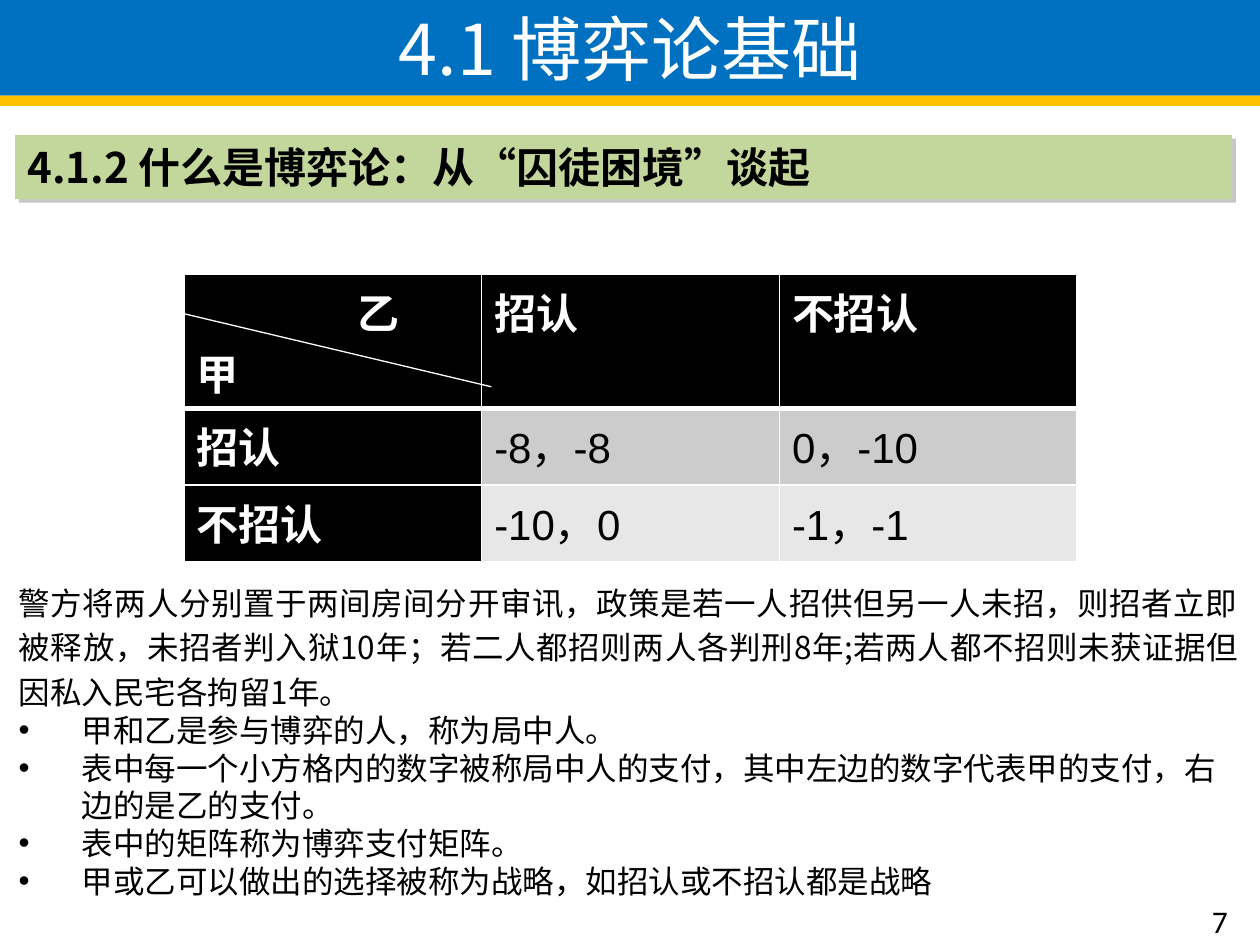
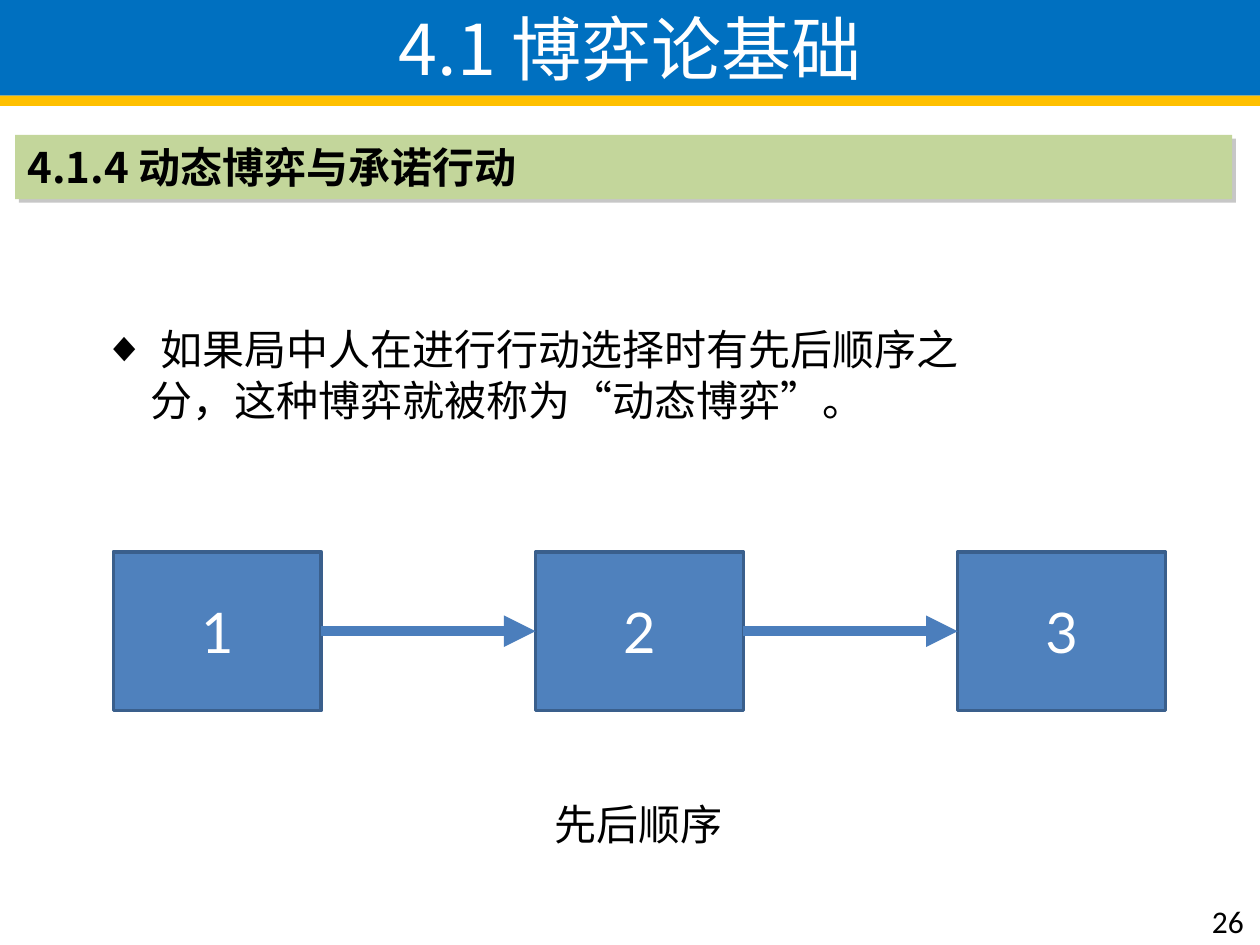
from lxml import etree
from pptx import Presentation
from pptx.dml.color import RGBColor
from pptx.enum.shapes import MSO_CONNECTOR, MSO_SHAPE
from pptx.enum.text import MSO_ANCHOR, MSO_AUTO_SIZE, PP_ALIGN
from pptx.oxml.ns import qn
from pptx.util import Inches, Pt

RECTANGLE = MSO_SHAPE.RECTANGLE
STRAIGHT = MSO_CONNECTOR.STRAIGHT
MIDDLE = MSO_ANCHOR.MIDDLE
GROW, FIXED = MSO_AUTO_SIZE.SHAPE_TO_FIT_TEXT, MSO_AUTO_SIZE.NONE
LEFT, CENTER, JUSTIFY = PP_ALIGN.LEFT, PP_ALIGN.CENTER, PP_ALIGN.JUSTIFY
RIGHT_SITE, LEFT_SITE = 3, 1
TITLE_ONLY = 5

COLORS = {
    "title": "0070C0", "band": "FFC000", "arrow": "4B7EBC", "section": "C3D69B",
    "black": "000000", "white": "FFFFFF", "gray": "808080",
    "row_dark": "CCCCCC", "row_light": "E7E7E7",
    "step": "4F81BD", "step_edge": "3A5F8C",
}
CJK = "Noto Sans CJK SC"
TITLE_TEXT = {"name": CJK, "size": Pt(40), "color": "white", "bold": False}
SECTION_TEXT = {"name": CJK, "size": Pt(24), "color": "black", "bold": True}
BODY_TEXT = {"name": CJK, "size": Pt(18), "color": "black"}
POINT_TEXT = {"name": CJK, "size": Pt(24), "color": "black"}
HEADER_TEXT = {"name": "Arial", "size": Pt(24), "color": "white", "bold": True}
CELL_TEXT = {"name": "Arial", "size": Pt(24), "color": "black", "bold": False}
STEP_TEXT = {"name": "Lato", "size": Pt(32), "color": "white"}
PAGE_TEXT = {"name": "Calibri", "size": Pt(18), "color": "black"}


def rgb(color):
    return RGBColor.from_string(COLORS[color])


def add_element(parent, tag, **attributes):
    return etree.SubElement(parent, qn(tag), {key: str(value) for key, value in attributes.items()})


def write(paragraph, text, text_format, alignment=LEFT):
    paragraph.alignment = alignment
    run = paragraph.add_run()
    run.text = text
    for name, value in text_format.items():
        if name == "color":
            run.font.color.rgb = rgb(value)
        else:
            setattr(run.font, name, value)
    add_element(run.font._element, "a:ea", typeface=CJK)


def add_bullet(paragraph, character, indent):
    properties = paragraph._p.get_or_add_pPr()
    properties.set("marL", str(Inches(indent)))
    properties.set("indent", str(-Inches(indent)))
    add_element(properties, "a:buFont", typeface="Arial")
    add_element(properties, "a:buChar", char=character)


def paint(shape, fill, line=None, width=0.75):
    shape.fill.solid()
    shape.fill.fore_color.rgb = rgb(fill)
    if line:
        shape.line.color.rgb = rgb(line)
        shape.line.width = Pt(width)
    else:
        shape.line.fill.background()
    shape.shadow.inherit = False


def add_shadow(shape, color, opacity, distance, angle):
    effects = shape._element.spPr.find(qn("a:effectLst"))
    shadow = add_element(effects, "a:outerShdw", dist=Pt(distance),
                         dir=angle * 60000, algn="ctr", rotWithShape=0)
    shadow_color = add_element(shadow, "a:srgbClr", val=COLORS[color])
    add_element(shadow_color, "a:alpha", val=opacity * 1000)


def add_box(slide, box, fill, line=None, width=0.75):
    shape = slide.shapes.add_shape(RECTANGLE, *map(Inches, box))
    paint(shape, fill, line, width)
    return shape


def add_text_frame(slide, box, wrap=True, auto_size=GROW):
    frame = slide.shapes.add_textbox(*map(Inches, box)).text_frame
    frame.word_wrap = wrap
    frame.auto_size = auto_size
    return frame


def add_line(slide, start, end, color, width):
    line = slide.shapes.add_connector(STRAIGHT, *map(Inches, start + end))
    line.line.color.rgb = rgb(color)
    line.line.width = Pt(width)
    add_element(line._element.spPr, "a:effectLst")
    return line


def add_arrow(slide, source, target):
    arrow = add_line(slide, (0, 0), (1, 1), "arrow", 6)
    arrow.begin_connect(source, RIGHT_SITE)
    arrow.end_connect(target, LEFT_SITE)
    add_element(arrow.line._get_or_add_ln(), "a:tailEnd", type="triangle")


def add_framed_slide(presentation, section, page):
    """Add a slide with the chapter title, yellow band, section bar and page number."""
    slide = presentation.slides.add_slide(presentation.slide_layouts[TITLE_ONLY])
    add_box(slide, (0, 0.76, 10, 0.08), "band")

    title = slide.shapes.title
    title.left, title.top, title.width, title.height = map(Inches, (0, 0, 10, 0.76))
    paint(title, "title")
    title.text_frame.vertical_anchor = MIDDLE
    write(title.text_frame.paragraphs[0], "4.1 博弈论基础", TITLE_TEXT, CENTER)

    bar = add_box(slide, (0.12, 1.07, 9.66, 0.51), "section")
    add_shadow(bar, "gray", 43, 3, 45)
    bar.text_frame.word_wrap = True
    bar.text_frame.auto_size = GROW
    write(bar.text_frame.paragraphs[0], section, SECTION_TEXT)

    number = add_text_frame(slide, (9.52, 7.11, 0.47, 0.4), auto_size=FIXED)
    write(number.paragraphs[0], page, PAGE_TEXT)
    return slide


def format_cell(cell, fill, top, bottom):
    properties = cell._tc.get_or_add_tcPr()
    for side, width in (("L", 1), ("R", 1), ("T", top), ("B", bottom)):
        border = add_element(properties, f"a:ln{side}", w=Pt(width))
        add_element(add_element(border, "a:solidFill"), "a:srgbClr", val=COLORS["white"])
    cell.fill.solid()
    cell.fill.fore_color.rgb = rgb(fill)


def add_payoff_table(slide, box):
    left, top, width, height = box
    rows = [
        ["乙\n甲", "招认", "不招认"],
        ["招认", "-8，-8", "0，-10"],
        ["不招认", "-10，0", "-1，-1"],
    ]
    row_fills = ["black", "row_dark", "row_light"]
    header_height = 1.06
    table = slide.shapes.add_table(3, 3, *map(Inches, box)).table
    for column in table.columns:
        column.width = Inches(width / 3)
    for index, row in enumerate(table.rows):
        row.height = Inches((height - header_height) / 2 if index else header_height)
    for row_index, texts in enumerate(rows):
        for column_index, text in enumerate(texts):
            cell = table.cell(row_index, column_index)
            is_header = row_index == 0 or column_index == 0
            format_cell(cell, "black" if is_header else row_fills[row_index],
                        top=3 if row_index == 1 else 1, bottom=1 if row_index else 3)
            frame = cell.text_frame
            for line_index, line in enumerate(text.split("\n")):
                paragraph = frame.add_paragraph() if line_index else frame.paragraphs[0]
                write(paragraph, line, HEADER_TEXT if is_header else CELL_TEXT)
    column_player = table.cell(0, 0).text_frame.paragraphs[0]
    column_player._p.get_or_add_pPr().set("marL", str(Inches(1.28)))
    add_line(slide, (left, top + 0.31), (left + 2.44, top + 0.89), "white", 0.75)


def add_explanation(slide, box):
    frame = add_text_frame(slide, box)
    policy = frame.paragraphs[0]
    policy.line_spacing = 1.18
    write(policy, "警方将两人分别置于两间房间分开审讯，政策是若一人招供但另一人未招，则招者立即"
          "被释放，未招者判入狱10年；若二人都招则两人各判刑8年;若两人都不招则未获证据"
          "但因私入民宅各拘留1年。", BODY_TEXT, JUSTIFY)
    for point in (
        "甲和乙是参与博弈的人，称为局中人。",
        "表中每一个小方格内的数字被称局中人的支付，其中左边的数字代表甲的支付，右边的是乙的支付。",
        "表中的矩阵称为博弈支付矩阵。",
        "甲或乙可以做出的选择被称为战略，如招认或不招认都是战略",
    ):
        paragraph = frame.add_paragraph()
        add_bullet(paragraph, "•", 0.5)
        write(paragraph, point, BODY_TEXT)


def add_definition(slide, box):
    paragraph = add_text_frame(slide, box).paragraphs[0]
    add_bullet(paragraph, "◆", 0.38)
    write(paragraph, " 如果局中人在进行行动选择时有先后顺序之分，这种博弈就被称为“动态博弈”。",
          POINT_TEXT)


def add_sequence(slide, box):
    """Draw three numbered steps joined by arrows, with a caption below."""
    left, top, width, height = box
    step_width, step_height = 1.65, 1.26
    pitch = (width - step_width) / 2
    steps = []
    for index in range(3):
        step = add_box(slide, (left + index * pitch, top, step_width, step_height),
                       "step", "step_edge", 2)
        step.text_frame.vertical_anchor = MIDDLE
        write(step.text_frame.paragraphs[0], str(index + 1), STEP_TEXT, CENTER)
        steps.append(step)
    for source, target in zip(steps, steps[1:]):
        add_arrow(slide, source, target)
    caption_width, caption_height = 1.55, 0.51
    caption = add_text_frame(slide, (left + (width - caption_width) / 2,
                                     top + height - caption_height,
                                     caption_width, caption_height), wrap=False)
    write(caption.paragraphs[0], "先后顺序", POINT_TEXT)


def build_prisoners_slide(presentation):
    slide = add_framed_slide(presentation, "4.1.2 什么是博弈论：从“囚徒困境”谈起", "7")
    add_payoff_table(slide, (1.46, 2.18, 7.09, 2.28))
    add_explanation(slide, (0.05, 4.53, 9.88, 2.69))


def build_dynamic_slide(presentation):
    slide = add_framed_slide(presentation, "4.1.4 动态博弈与承诺行动", "26")
    add_definition(slide, (0.72, 2.52, 7.17, 0.91))
    add_sequence(slide, (0.9, 4.38, 8.35, 2.42))


def main():
    presentation = Presentation()
    presentation.slide_width, presentation.slide_height = Inches(10), Inches(7.5)
    build_prisoners_slide(presentation)
    build_dynamic_slide(presentation)
    presentation.save("out.pptx")


if __name__ == "__main__":
    main()
